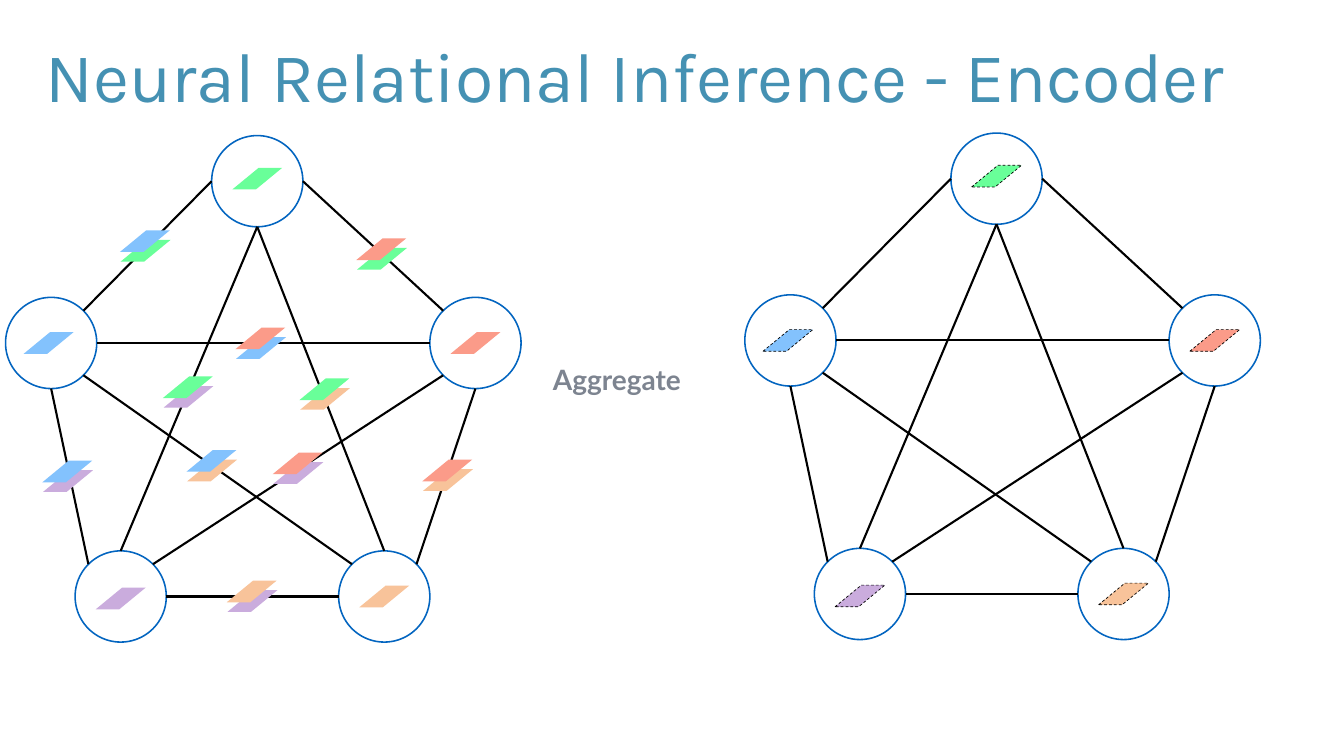
"""Build the encoder slide: pairwise edge messages aggregated into node embeddings."""
from typing import NamedTuple

from lxml.etree import SubElement
from pptx import Presentation
from pptx.dml.color import RGBColor
from pptx.enum.dml import MSO_LINE
from pptx.enum.shapes import MSO_CONNECTOR, MSO_SHAPE
from pptx.enum.text import MSO_ANCHOR, MSO_AUTO_SIZE, PP_ALIGN
from pptx.oxml.ns import qn
from pptx.util import Inches, Pt

DIAMETER = 1.81
TILE_W, TILE_H = 0.99, 0.43
STACK_DX, STACK_DY = 0.015, 0.19
RIGHT_DX, RIGHT_DY = 14.67, -0.05
SITES = {
    "top": (0.5, 0), "left": (0, 0.5), "bottom": (0.5, 1), "right": (1, 0.5),
    "top_left": (0.146, 0.146), "top_right": (0.854, 0.146),
    "bottom_left": (0.146, 0.854), "bottom_right": (0.854, 0.854),
}


class Node(NamedTuple):
    x: float
    y: float
    tile_x: float
    tile_y: float
    color: str


class Edge(NamedTuple):
    start: str
    start_site: str
    end: str
    end_site: str


class Message(NamedTuple):
    x: float
    y: float
    front: str
    back: str


NODES = {
    "blue": Node(0.11, 5.9, 0.47, 6.59, "83C2FD"),
    "green": Node(4.2, 2.69, 4.61, 3.33, "69FF99"),
    "red": Node(8.53, 5.9, 8.94, 6.59, "FB9B89"),
    "orange": Node(6.72, 10.93, 7.13, 11.62, "F8C39A"),
    "purple": Node(1.49, 10.93, 1.9, 11.66, "CAACDD"),
}
EDGES = [
    Edge("blue", "right", "red", "left"),
    Edge("green", "bottom", "orange", "top"),
    Edge("green", "bottom", "purple", "top"),
    Edge("blue", "top_right", "green", "left"),
    Edge("red", "top_left", "green", "right"),
    Edge("orange", "top_right", "red", "bottom"),
    Edge("blue", "bottom", "purple", "top_left"),
    Edge("blue", "bottom_right", "orange", "top_left"),
    Edge("red", "bottom_left", "purple", "top_right"),
    Edge("orange", "left", "purple", "right"),
]
MESSAGES = [
    Message(5.41, 8.98, "red", "purple"),
    Message(4.67, 6.5, "red", "blue"),
    Message(3.23, 7.47, "green", "purple"),
    Message(5.94, 7.51, "green", "orange"),
    Message(3.7, 8.93, "blue", "orange"),
    Message(4.5, 11.52, "orange", "purple"),
    Message(8.38, 9.12, "red", "orange"),
    Message(7.07, 4.73, "red", "green"),
    Message(2.38, 4.57, "blue", "green"),
    Message(0.84, 9.14, "blue", "purple"),
]


def rgb(value: str) -> RGBColor:
    return RGBColor.from_string(value)


def add_ring(shapes, x: float, y: float) -> None:
    sp = shapes.add_shape(MSO_SHAPE.OVAL, Inches(x), Inches(y),
                          Inches(DIAMETER), Inches(DIAMETER))
    sp.shadow.inherit = False
    sp.fill.background()
    sp.line.color.rgb = rgb("0365C0")
    sp.line.width = Pt(2.25)


def add_edge(shapes, edge: Edge, dx: float, dy: float) -> None:
    points = []
    for name, site in ((edge.start, edge.start_site), (edge.end, edge.end_site)):
        node, (fx, fy) = NODES[name], SITES[site]
        points += [Inches(node.x + dx + fx * DIAMETER),
                   Inches(node.y + dy + fy * DIAMETER)]
    line = shapes.add_connector(MSO_CONNECTOR.STRAIGHT, *points)
    line.line.color.rgb = rgb("000000")
    line.line.width = Pt(3)
    SubElement(line._element.spPr, qn("a:effectLst"))


def add_tile(shapes, x: float, y: float, color: str, dashed: bool = False) -> None:
    sp = shapes.add_shape(MSO_SHAPE.PARALLELOGRAM, Inches(x), Inches(y),
                          Inches(TILE_W), Inches(TILE_H))
    sp.adjustments[0] = 1.216
    sp.shadow.inherit = False
    sp.fill.solid()
    sp.fill.fore_color.rgb = rgb(color)
    if dashed:
        sp.line.color.rgb = rgb("000000")
        sp.line.width = Pt(1)
        sp.line.dash_style = MSO_LINE.DASH
    else:
        sp.line.fill.background()


def add_graph(shapes, dx: float = 0, dy: float = 0, dashed: bool = False) -> None:
    for node in NODES.values():
        add_ring(shapes, node.x + dx, node.y + dy)
    for edge in EDGES:
        add_edge(shapes, edge, dx, dy)
    for node in NODES.values():
        add_tile(shapes, node.tile_x + dx, node.tile_y + dy, node.color, dashed)


def add_message(shapes, message: Message) -> None:
    add_tile(shapes, message.x + STACK_DX, message.y + STACK_DY,
             NODES[message.back].color)
    add_tile(shapes, message.x, message.y, NODES[message.front].color)


def set_text(sp, text: str, font: str, size: int, color: str, spacing: float,
             align: PP_ALIGN, anchor: MSO_ANCHOR, bold: bool = False) -> None:
    tf = sp.text_frame
    tf.text = text
    tf.word_wrap = True
    tf.auto_size = MSO_AUTO_SIZE.NONE
    tf.vertical_anchor = anchor
    tf.margin_left = tf.margin_top = tf.margin_right = tf.margin_bottom = 0
    p = tf.paragraphs[0]
    p.alignment = align
    p.line_spacing = spacing
    r = p.runs[0]
    r.font.name = font
    r.font.size = Pt(size)
    r.font.bold = bold
    r.font.color.rgb = rgb(color)


def main() -> None:
    prs = Presentation()
    prs.slide_width, prs.slide_height = Inches(26.67), Inches(15)
    s = prs.slides.add_slide(prs.slide_layouts[5])

    title = s.shapes.title
    title.left, title.top = Inches(0.9), Inches(0.96)
    title.width, title.height = Inches(24.87), Inches(1.73)
    set_text(title, "Neural Relational Inference - Encoder", "Karla", 100,
             "4591B3", 0.8, PP_ALIGN.LEFT, MSO_ANCHOR.TOP)

    messages_graph = s.shapes.add_group_shape().shapes
    add_graph(messages_graph)
    for message in MESSAGES:
        add_message(messages_graph, message)

    add_graph(s.shapes, RIGHT_DX, RIGHT_DY, dashed=True)

    label = s.shapes.add_textbox(Inches(10.74), Inches(7.13), Inches(3), Inches(0.74))
    set_text(label, "Aggregate", "Lato", 40, "7D8490", 1.1,
             PP_ALIGN.CENTER, MSO_ANCHOR.MIDDLE, bold=True)

    prs.save("out.pptx")


if __name__ == "__main__":
    main()
